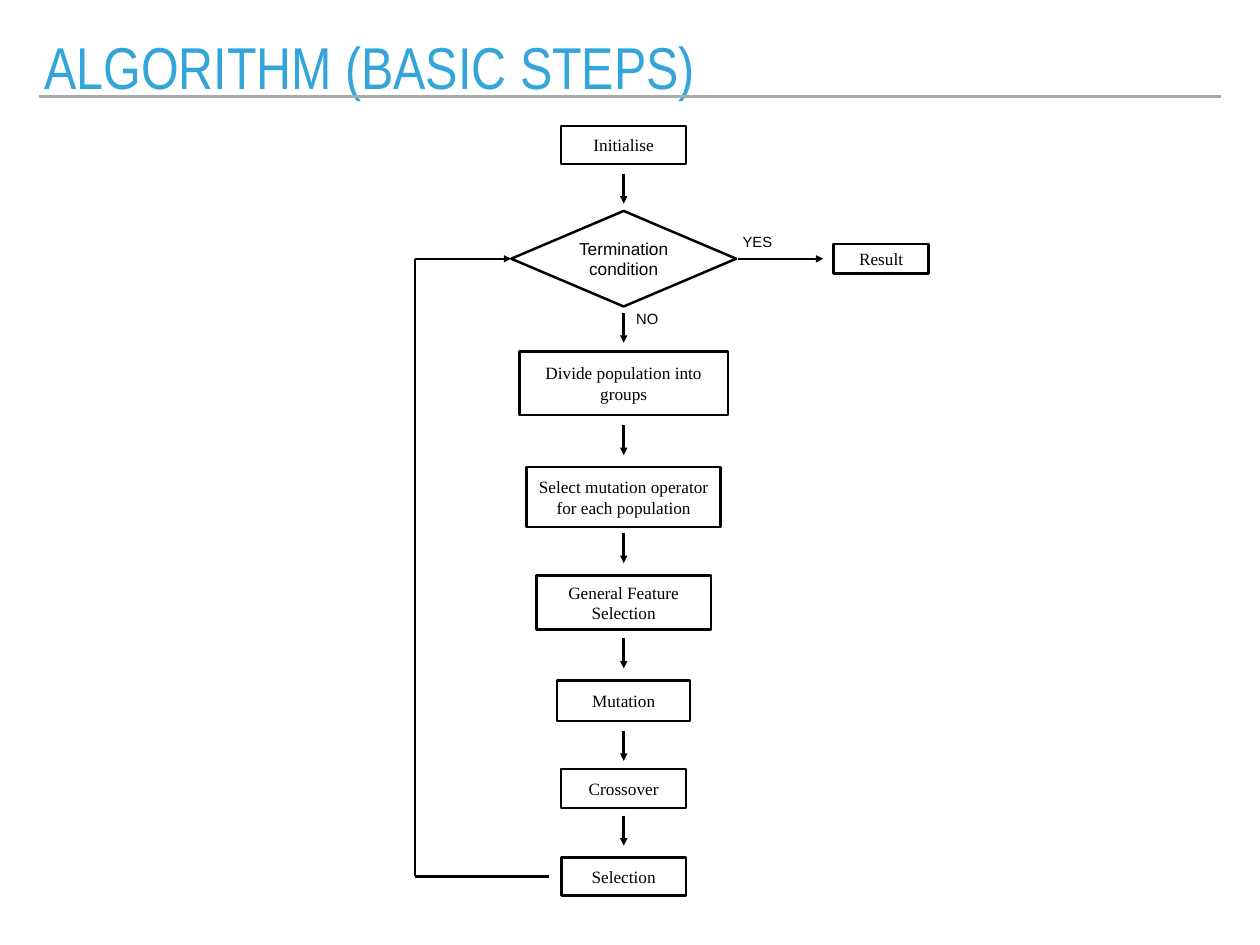
from lxml.etree import SubElement
from pptx import Presentation
from pptx.dml.color import RGBColor
from pptx.enum.shapes import MSO_CONNECTOR, MSO_SHAPE
from pptx.enum.text import MSO_ANCHOR, MSO_AUTO_SIZE, PP_ALIGN
from pptx.oxml.ns import qn
from pptx.util import Cm, Pt

BLACK = RGBColor(0x00, 0x00, 0x00)
BLUE = RGBColor(0x34, 0xA5, 0xDA)
GREY = RGBColor(0xA6, 0xAA, 0xA9)
SERIF, SANS, NARROW = "Times New Roman", "Arial", "Arial Narrow"

# Content, lengths in cm
TITLE = "ALGORITHM (BASIC STEPS)"
AXIS_X = 17.88      # centre of the main column
TEST_Y = 7.42       # centre of the decision row
LOOP_X = 11.89      # vertical run of the return path
LOOP_START_X = 15.75
ARROW_LENGTH = 0.86
INSET = 0.13

STEPS = [  # text, top, width, height
    ("Initialise", 3.61, 3.58, 1.09),
    ("Divide population into groups", 10.08, 5.97, 1.83),
    ("Select mutation operator for each population", 13.39, 5.56, 1.73),
    ("General Feature Selection", 16.51, 5.0, 1.55),
    ("Mutation", 19.51, 3.81, 1.17),
    ("Crossover", 22.05, 3.58, 1.12),
    ("Selection", 24.59, 3.56, 1.09),
]
ARROW_TOPS = [4.98, 8.97, 12.19, 15.29, 18.31, 20.96, 23.39]
TEST = ("Termination condition", 6.45, 2.74)
RESULT = ("Result", 25.26, 2.72, 0.84)
LABELS = [("NO", 18.11, 8.74), ("YES", 21.16, 6.55)]  # text, left, top


def set_text(sp, text, font, size, color=BLACK, align=PP_ALIGN.CENTER,
             anchor=MSO_ANCHOR.MIDDLE, inset=INSET):
    tf = sp.text_frame
    tf.text = text
    tf.word_wrap = True
    tf.auto_size = MSO_AUTO_SIZE.NONE
    tf.vertical_anchor = anchor
    tf.margin_left = tf.margin_right = tf.margin_top = tf.margin_bottom = Cm(inset)
    p = tf.paragraphs[0]
    p.alignment = align
    p.font.name, p.font.size, p.font.color.rgb = font, Pt(size), color
    return p


def add_node(s, kind, text, center_x, top, width, height, font=SERIF):
    sp = s.shapes.add_shape(kind, Cm(center_x - width / 2), Cm(top),
                            Cm(width), Cm(height))
    sp.shadow.inherit = False
    sp.fill.background()
    sp.line.color.rgb = BLACK
    sp.line.width = Pt(2)
    set_text(sp, text, font, 14)
    return sp


def add_line(s, x1, y1, x2, y2, color=BLACK, arrow=False):
    line = s.shapes.add_connector(MSO_CONNECTOR.STRAIGHT,
                                  Cm(x1), Cm(y1), Cm(x2), Cm(y2))
    line.line.color.rgb = color
    line.line.width = Pt(2)
    if arrow:
        SubElement(line.line._get_or_add_ln(), qn("a:tailEnd"), type="triangle")
    SubElement(line._element.spPr, qn("a:effectLst"))
    return line


def main():
    prs = Presentation()
    prs.slide_width, prs.slide_height = Cm(36.12), Cm(27.1)
    s = prs.slides.add_slide(prs.slide_layouts[5])

    # Title and rule
    title = s.shapes.title
    title.left, title.top, title.width, title.height = (
        Cm(1.12), Cm(1.07), Cm(33.86), Cm(2.0))
    p = set_text(title, TITLE, NARROW, 48, BLUE, PP_ALIGN.LEFT, inset=0.15)
    p.line_spacing = 0.8
    add_line(s, 1.12, 2.77, 35.0, 2.77, GREY)

    # Main column
    for text, top, width, height in STEPS:
        add_node(s, MSO_SHAPE.RECTANGLE, text, AXIS_X, top, width, height)
    for top in ARROW_TOPS:
        add_line(s, AXIS_X, top, AXIS_X, top + ARROW_LENGTH, arrow=True)

    # Decision row
    text, width, height = TEST
    test = add_node(s, MSO_SHAPE.DIAMOND, text, AXIS_X, TEST_Y - height / 2,
                    width, height, SANS)
    text, center_x, width, height = RESULT
    add_node(s, MSO_SHAPE.RECTANGLE, text, center_x, TEST_Y - height / 2,
             width, height)
    add_line(s, 21.16, TEST_Y, 23.6, TEST_Y, arrow=True)

    # Return path from the last step to the decision
    _, top, _, height = STEPS[-1]
    loop_y = top + height / 2
    add_line(s, LOOP_START_X, loop_y, LOOP_X, loop_y)
    add_line(s, LOOP_X, loop_y, LOOP_X, TEST_Y)
    back = add_line(s, LOOP_X, TEST_Y, AXIS_X - TEST[1] / 2, TEST_Y, arrow=True)
    back.end_connect(test, 1)

    # Branch labels
    for text, left, top in LABELS:
        box = s.shapes.add_textbox(Cm(left), Cm(top), Cm(1.7), Cm(0.94))
        set_text(box, text, SANS, 12, align=PP_ALIGN.LEFT, anchor=MSO_ANCHOR.TOP)

    prs.save("out.pptx")


if __name__ == "__main__":
    main()
